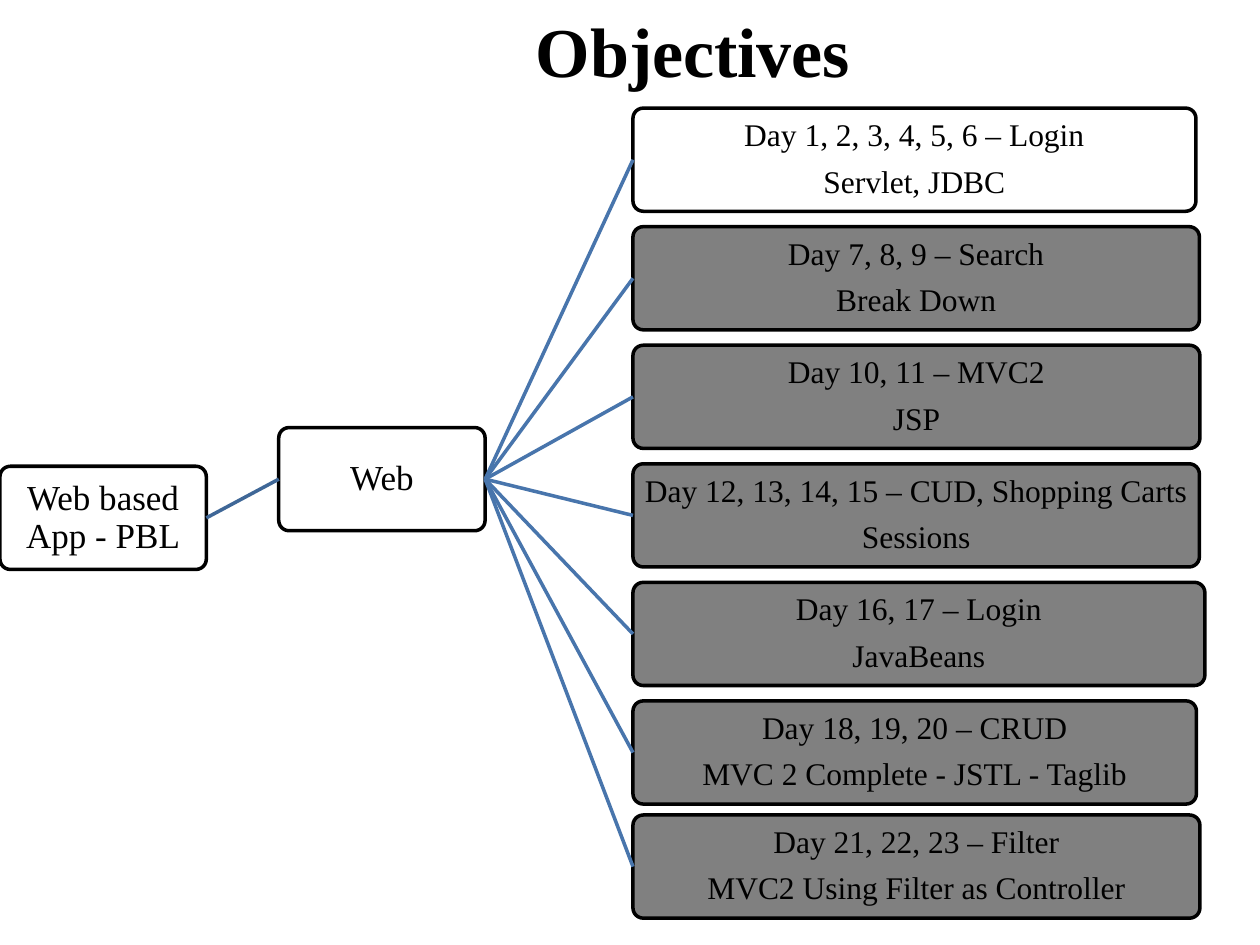
from lxml import etree
from pptx import Presentation
from pptx.dml.color import RGBColor
from pptx.enum import shapes, text
from pptx.oxml.ns import qn
from pptx.util import Cm, Pt

FONT = "Times New Roman"
BLACK, WHITE, GRAY = "000000", "FFFFFF", "808080"
ROOT_LINK, DAY_LINK = "3F6797", "4875AC"
BOX_W, BOX_H = 4.16, 2.08
DAY_LEFT, DAY_TOP, DAY_PITCH = 12.76, 2.18, 2.39
LAST_TOP = 16.43  # the last box sits closer to the one above it

# Box width in cm, fill, text lines
DAYS = [
    (11.35, WHITE, "Day 1, 2, 3, 4, 5, 6 – Login\nServlet, JDBC"),
    (11.42, GRAY, "Day 7, 8, 9 – Search\nBreak Down"),
    (11.43, GRAY, "Day 10, 11 – MVC2\nJSP"),
    (11.42, GRAY, "Day 12, 13, 14, 15 – CUD, Shopping Carts\nSessions"),
    (11.53, GRAY, "Day 16, 17 – Login\nJavaBeans"),
    (11.36, GRAY, "Day 18, 19, 20 – CRUD\nMVC 2 Complete - JSTL - Taglib"),
    (11.43, GRAY, "Day 21, 22, 23 – Filter\nMVC2 Using Filter as Controller"),
]


def color(value):
    return RGBColor.from_string(value)


def format_text(tf, size, bold=False):
    tf.word_wrap = True
    tf.vertical_anchor = text.MSO_ANCHOR.MIDDLE
    for p in tf.paragraphs:
        p.alignment = text.PP_ALIGN.CENTER
        for r in p.runs:
            r.font.name = FONT
            r.font.size = Pt(size)
            r.font.bold = bold
            r.font.color.rgb = color(BLACK)


def add_title(s, words):
    sp = s.shapes.title
    sp.left, sp.top, sp.width, sp.height = Cm(2.54), Cm(0), Cm(22.86), Cm(2)
    sp.text_frame.text = words
    format_text(sp.text_frame, 40, bold=True)


def add_box(s, left, top, width, words, size, fill=WHITE):
    sp = s.shapes.add_shape(shapes.MSO_SHAPE.ROUNDED_RECTANGLE,
                            Cm(left), Cm(top), Cm(width), Cm(BOX_H))
    sp.adjustments[0] = 0.1
    sp.shadow.inherit = False
    sp.fill.solid()
    sp.fill.fore_color.rgb = color(fill)
    sp.line.color.rgb = color(BLACK)
    sp.line.width = Pt(2)
    tf = sp.text_frame
    tf.margin_left = tf.margin_right = tf.margin_top = tf.margin_bottom = Cm(0.09)
    tf.text = words
    format_text(tf, size)
    for p in tf.paragraphs:
        p.line_spacing = 0.9
        p.space_after = Pt(7)
    return sp


def link(s, parent, child, line_color):
    """Join the parent's right side to the child's left side."""
    line = s.shapes.add_connector(shapes.MSO_CONNECTOR.STRAIGHT, 0, 0, 0, 0)
    line.begin_connect(parent, 3)
    line.end_connect(child, 1)
    line.line.color.rgb = color(line_color)
    line.line.width = Pt(2)
    etree.SubElement(line._element.spPr, qn("a:effectLst"))


def main():
    prs = Presentation()
    prs.slide_width, prs.slide_height = Cm(25.4), Cm(19.05)
    s = prs.slides.add_slide(prs.slide_layouts[5])
    add_title(s, "Objectives")

    app = add_box(s, 0, 9.4, BOX_W, "Web based App - PBL", 20)
    web = add_box(s, 5.62, 8.62, BOX_W, "Web", 20)
    link(s, app, web, ROOT_LINK)

    for i, (width, fill, words) in enumerate(DAYS):
        top = min(DAY_TOP + i * DAY_PITCH, LAST_TOP)
        day = add_box(s, DAY_LEFT, top, width, words, 18, fill)
        link(s, web, day, DAY_LINK)

    prs.save("out.pptx")


if __name__ == "__main__":
    main()
